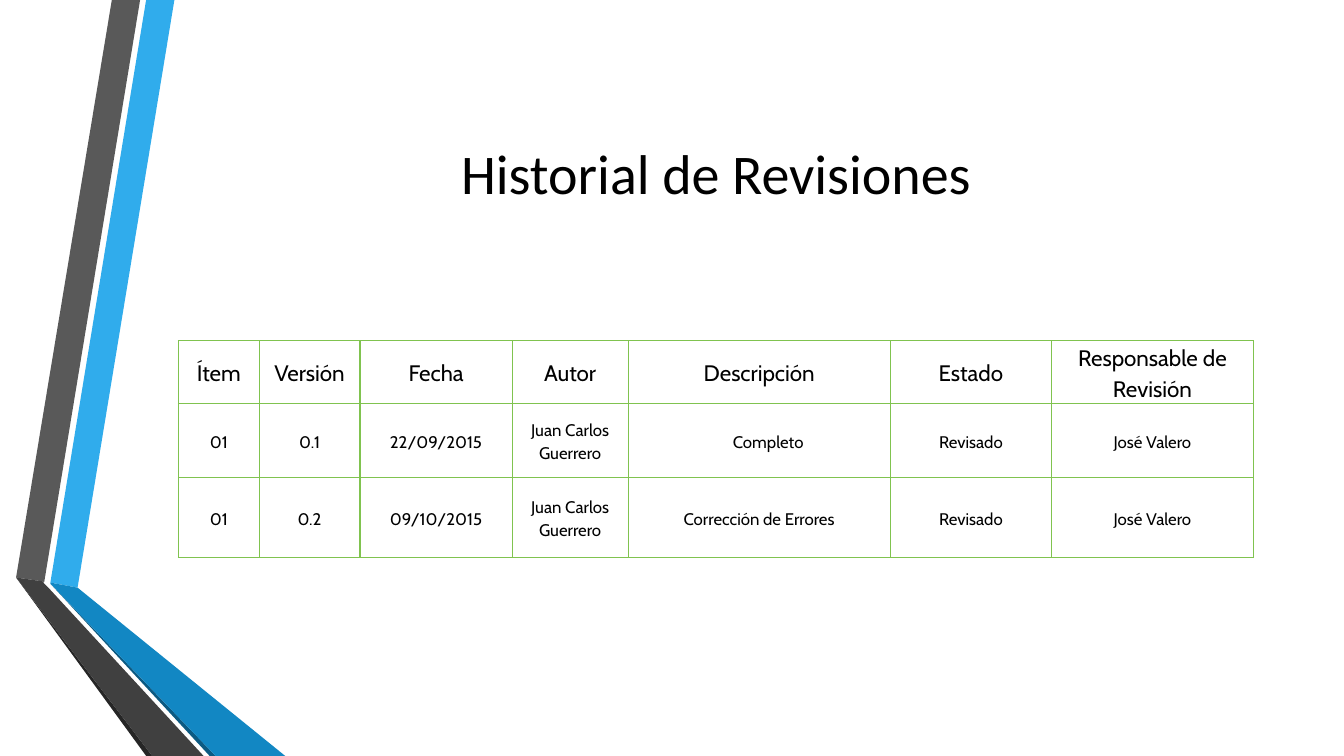
from dataclasses import dataclass

from lxml import etree
from pptx import Presentation
from pptx import util as u
from pptx.dml.color import RGBColor
from pptx.enum import text
from pptx.oxml import ns


@dataclass(frozen=True)
class Theme:
    ink: str = "000000"
    border: str = "80C34F"
    light_blue: str = "30ACEC"
    blue: str = "1287C3"
    deep_blue: str = "0C5A82"
    light_gray: str = "595959"
    gray: str = "404040"
    deep_gray: str = "262626"
    title_font: str = "Calibri"
    table_font: str = "Cabin"
    title_size: int = 40
    header_size: int = 16
    body_size: int = 12
    border_width: float = 1


class RevisionSlide:
    def __init__(self, deck, theme):
        self.theme = theme
        self.slide = deck.slides.add_slide(deck.slide_layouts[5])

    def style(self, paragraph, font, size):
        paragraph.alignment = text.PP_ALIGN.CENTER
        paragraph.font.name = font
        paragraph.font.size = u.Pt(size)
        paragraph.font.bold = False
        paragraph.font.color.rgb = RGBColor.from_string(self.theme.ink)

    def band(self, color, *corners):
        points = [(u.Inches(x), u.Inches(y)) for x, y in corners]
        outline = self.slide.shapes.build_freeform(*points[0])
        outline.add_line_segments(points[1:], close=True)
        ribbon = outline.convert_to_shape()
        ribbon.shadow.inherit = False
        ribbon.fill.solid()
        ribbon.fill.fore_color.rgb = RGBColor.from_string(color)
        ribbon.line.fill.background()

    def title(self, wording, left, top, width, height):
        heading = self.slide.shapes.title
        heading.left, heading.top = u.Inches(left), u.Inches(top)
        heading.width, heading.height = u.Inches(width), u.Inches(height)
        heading.text_frame.text = wording
        heading.text_frame.vertical_anchor = text.MSO_ANCHOR.MIDDLE
        self.style(heading.text_frame.paragraphs[0],
                   self.theme.title_font, self.theme.title_size)

    def table(self, records, left, top, widths, heights):
        grid = self.slide.shapes.add_table(
            len(heights), len(widths), u.Inches(left), u.Inches(top),
            u.Inches(sum(widths)), u.Inches(sum(heights))).table
        grid.first_row = grid.horz_banding = False
        for column, width in zip(grid.columns, widths):
            column.width = u.Inches(width)
        for row, height in zip(grid.rows, heights):
            row.height = u.Inches(height)
        for r, record in enumerate(records):
            size = self.theme.body_size if r else self.theme.header_size
            for c, wording in enumerate(record):
                self.cell(grid.cell(r, c), wording, size)
        return grid

    def cell(self, cell, wording, size):
        cell.text = wording
        cell.vertical_anchor = text.MSO_ANCHOR.MIDDLE
        cell.margin_left = cell.margin_right = u.Inches(0.08)
        cell.margin_top = cell.margin_bottom = 0
        paragraph = cell.text_frame.paragraphs[0]
        self.style(paragraph, self.theme.table_font, size)
        paragraph.line_spacing = 1.15
        paragraph.space_before = paragraph.space_after = u.Pt(3)
        self.borders(cell)
        cell.fill.background()

    def borders(self, cell):
        properties = cell._tc.get_or_add_tcPr()
        for side in ("a:lnL", "a:lnR", "a:lnT", "a:lnB"):
            edge = etree.SubElement(properties, ns.qn(side),
                                    w=str(u.Pt(self.theme.border_width)))
            fill = etree.SubElement(edge, ns.qn("a:solidFill"))
            etree.SubElement(fill, ns.qn("a:srgbClr"), val=self.theme.border)


def main():
    deck = Presentation()
    deck.slide_width, deck.slide_height = u.Inches(13.33), u.Inches(7.5)
    theme = Theme()
    page = RevisionSlide(deck, theme)

    page.band(theme.light_blue, (0.5, 5.78), (0.77, 5.83), (1.73, 0), (1.45, 0))
    page.band(theme.light_gray, (1.39, 0), (1.11, 0), (0.16, 5.73), (0.44, 5.77))
    page.band(theme.deep_gray, (0.16, 5.73), (1.45, 7.5), (1.51, 7.5))
    page.band(theme.deep_blue, (0.5, 5.79), (2.08, 7.5), (2.14, 7.5))
    page.band(theme.blue, (0.5, 5.79), (2.14, 7.5), (2.83, 7.5),
              (0.77, 5.83), (0.5, 5.78))
    page.band(theme.gray, (2.02, 7.5), (0.48, 5.83), (0.43, 5.78),
              (0.44, 5.77), (0.16, 5.73), (1.51, 7.5))

    page.title("Historial de Revisiones", 1.62, 0.75, 10.96, 1.92)

    revisions = [
        ("Ítem", "Versión", "Fecha", "Autor", "Descripción", "Estado",
         "Responsable de Revisión"),
        ("01", "0.1", "22/09/2015", "Juan Carlos Guerrero", "Completo",
         "Revisado", "José Valero"),
        ("01", "0.2", "09/10/2015", "Juan Carlos Guerrero",
         "Corrección de Errores", "Revisado", "José Valero"),
    ]
    history = page.table(revisions, 1.77, 3.38,
                         widths=(0.8, 1, 1.51, 1.15, 2.6, 1.6, 2),
                         heights=(0.62, 0.74, 0.79))
    history.cell(1, 4).margin_left = u.Inches(0.26)

    deck.save("out.pptx")


if __name__ == "__main__":
    main()
